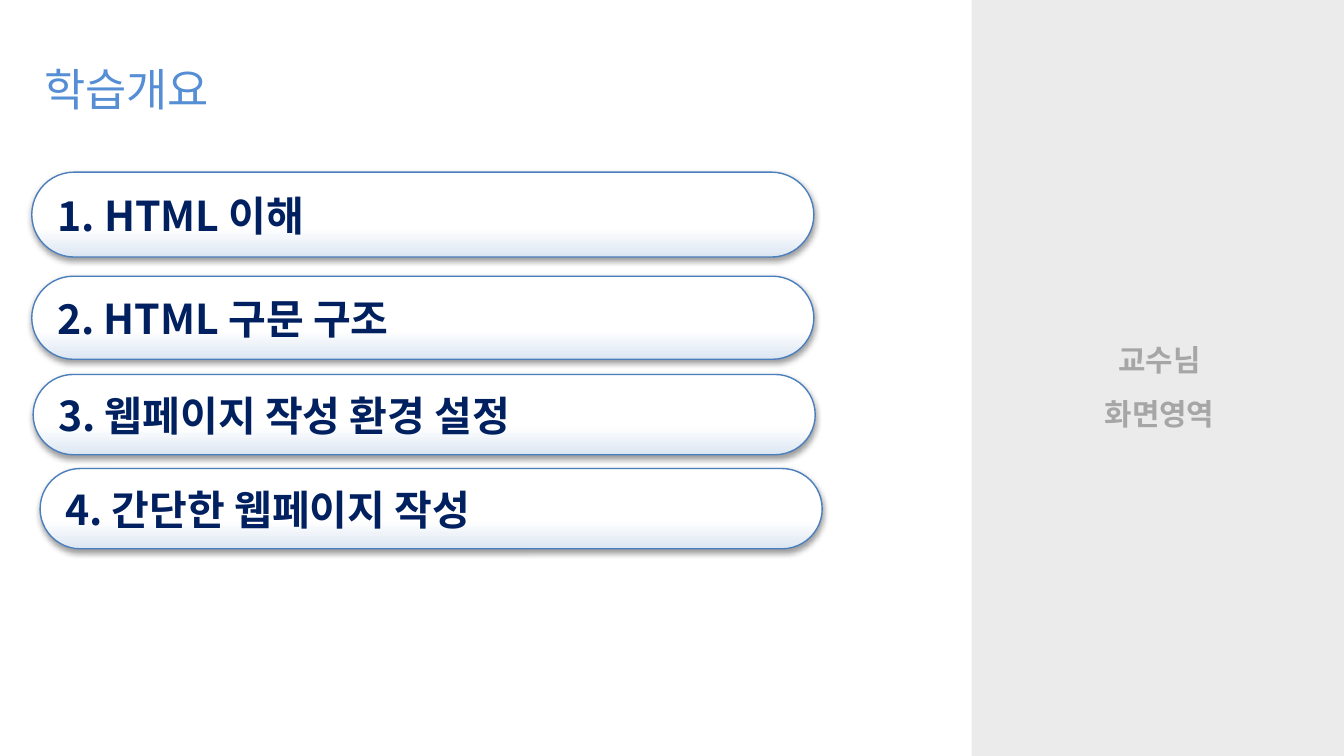
import pptx
import pptx.util
import pptx.dml.color
import pptx.enum.shapes
import pptx.enum.text
import pptx.oxml
import pptx.oxml.ns

Pt = pptx.util.Pt
Rgb = pptx.dml.color.RGBColor.from_string
Shape = pptx.enum.shapes.MSO_SHAPE
Align = pptx.enum.text.PP_ALIGN
Anchor = pptx.enum.text.MSO_ANCHOR
qn = pptx.oxml.ns.qn
space = pptx.oxml.ns.nsdecls("a")

hues = {
    "panel": "D9D9D9",
    "hint": "A6A6A6",
    "title": "558ED5",
    "white": "FFFFFF",
    "tint": "DCE6F2",
    "edge": "4B7EBC",
    "navy": "002060",
}
sans = "Noto Sans CJK KR"


def style(para, face, size, hue, bold, align):
    para.alignment = align
    font = para.font
    font.size = Pt(size)
    font.bold = bold
    font.color.rgb = Rgb(hues[hue])
    font.name = face
    east = pptx.oxml.parse_xml(f'<a:ea {space} typeface="{face}"/>')
    para._p.pPr.find(qn("a:defRPr")).append(east)


deck = pptx.Presentation()
deck.slide_width, deck.slide_height = Pt(720), Pt(405)
slide = deck.slides.add_slide(deck.slide_layouts[5])

panel = slide.shapes.add_shape(Shape.RECTANGLE, Pt(520.5), 0, Pt(201.5), Pt(405))
panel.shadow.inherit = False
panel.line.fill.background()
panel.fill.solid()
panel.fill.fore_color.rgb = Rgb(hues["panel"])
tone = panel._element.spPr.find(qn("a:solidFill"))[0]
tone.append(pptx.oxml.parse_xml(f'<a:alpha {space} val="50000"/>'))
frame = panel.text_frame
frame.vertical_anchor = Anchor.MIDDLE
frame.text = "교수님\n화면영역"
for para in frame.paragraphs:
    style(para, "Arial", 16, "hint", True, Align.CENTER)
    para.line_spacing = 1.5

title = slide.shapes.title
title.left, title.top, title.width, title.height = Pt(16.5), Pt(26.5), Pt(481), Pt(37)
frame = title.text_frame
frame.text = "학습개요"
frame.word_wrap = True
frame.auto_size = pptx.enum.text.MSO_AUTO_SIZE.SHAPE_TO_FIT_TEXT
frame.vertical_anchor = Anchor.TOP
style(frame.paragraphs[0], sans, 24, "title", False, Align.LEFT)
frame.paragraphs[0].line_spacing = 1.1

items = [
    ("1. HTML 이해", 17, 92.2, 45.5),
    ("2. HTML 구문 구조", 17, 148, 44.5),
    ("3. 웹페이지 작성 환경 설정", 17.75, 200.6, 43),
    ("4. 간단한 웹페이지 작성", 21.5, 251, 43),
]
for text, left, top, height in items:
    pill = slide.shapes.add_shape(
        Shape.ROUNDED_RECTANGLE, Pt(left), Pt(top), Pt(419), Pt(height))
    pill.adjustments[0] = 0.5
    pill.fill.gradient()
    pill.fill.gradient_angle = 270
    stops = zip(pill.fill.gradient_stops, [(0.65, "white"), (1, "tint")])
    for stop, (place, hue) in stops:
        stop.position = place
        stop.color.rgb = Rgb(hues[hue])
    pill.line.color.rgb = Rgb(hues["edge"])
    pill.line.width = Pt(0.75)
    pill.shadow.inherit = False
    glow = pptx.oxml.parse_xml(
        f'<a:outerShdw {space} blurRad="{Pt(3.1)}" dist="{Pt(1.6)}" dir="5400000"'
        ' rotWithShape="0"><a:srgbClr val="000000"><a:alpha val="38000"/>'
        '</a:srgbClr></a:outerShdw>')
    pill._element.spPr.find(qn("a:effectLst")).append(glow)
    frame = pill.text_frame
    frame.vertical_anchor = Anchor.MIDDLE
    frame.text = text
    style(frame.paragraphs[0], sans, 22, "navy", True, Align.LEFT)

deck.save("out.pptx")
